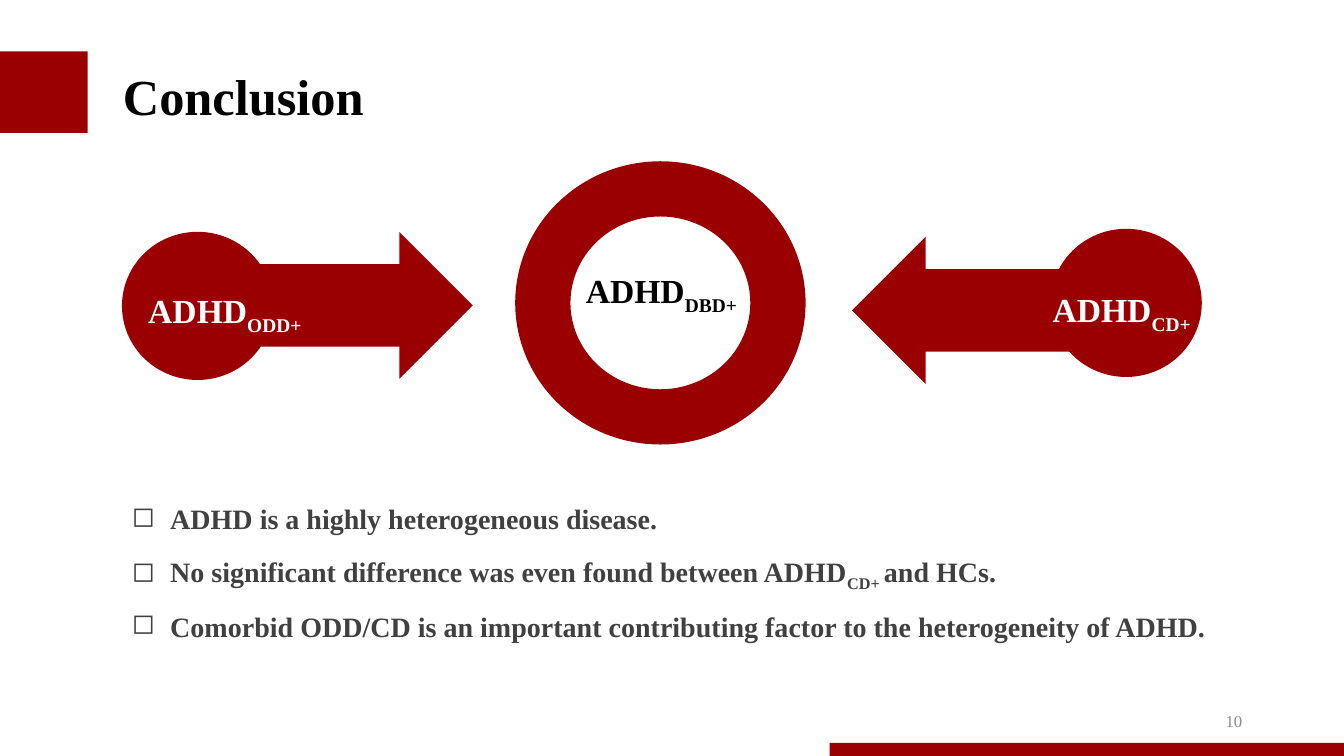
import dataclasses

import lxml.etree
import pptx
import pptx.dml.color
import pptx.enum.shapes
import pptx.enum.text
import pptx.oxml.ns
import pptx.util

Inches = pptx.util.Inches
Shapes = pptx.enum.shapes.MSO_SHAPE
Align = pptx.enum.text.PP_ALIGN
Anchor = pptx.enum.text.MSO_ANCHOR


@dataclasses.dataclass(frozen=True)
class Theme:
    """Colours, font and type sizes of the slide."""
    font: str = "Times New Roman"
    red: str = "9A0001"
    white: str = "FFFFFF"
    black: str = "000000"
    body: str = "404040"
    muted: str = "8C8C8C"
    title_size: int = 36
    label_size: int = 24
    body_size: int = 20
    number_size: int = 12


THEME = Theme()


def add_block(page, kind, left, top, width, height, adjustments=()):
    """Add a plain red shape without outline or shadow."""
    shape = page.shapes.add_shape(kind, Inches(left), Inches(top), Inches(width), Inches(height))
    shape.shadow.inherit = False
    shape.fill.solid()
    shape.fill.fore_color.rgb = pptx.dml.color.RGBColor.from_string(THEME.red)
    shape.line.fill.background()
    for index, value in enumerate(adjustments):
        shape.adjustments[index] = value
    return shape


def add_text_box(page, left, top, width, height, inset=True, wrap=True):
    """Add an empty text box and return its text frame."""
    box = page.shapes.add_textbox(Inches(left), Inches(top), Inches(width), Inches(height))
    frame = box.text_frame
    frame.word_wrap = wrap
    if not inset:
        frame.margin_left = frame.margin_right = frame.margin_top = frame.margin_bottom = 0
    return frame


def write(para, parts, size, color, bold=True, align=Align.LEFT):
    """Fill a paragraph with parts that alternate between normal and subscript."""
    para.alignment = align
    para.font.name = THEME.font
    para.font.size = pptx.util.Pt(size)
    para.font.bold = bold
    para.font.color.rgb = pptx.dml.color.RGBColor.from_string(color)
    for index, part in enumerate(parts):
        span = para.add_run()
        span.text = part
        if index % 2:
            span.font._element.set("baseline", "-25000")


def add_bullet(para, symbol, indent):
    """Give a paragraph a hanging bullet."""
    properties = para._p.get_or_add_pPr()
    properties.set("marL", str(Inches(indent)))
    properties.set("indent", str(-Inches(indent)))
    bullet = lxml.etree.SubElement(properties, pptx.oxml.ns.qn("a:buChar"))
    bullet.set("char", symbol)


def add_label(page, left, top, width, group, color, align):
    """Add an ADHD label with its group as subscript."""
    frame = add_text_box(page, left, top, width, 0.4, inset=False)
    write(frame.paragraphs[0], ["ADHD", group], THEME.label_size, color, align=align)


def add_header(page, left, top):
    """Add the red marker and the title beside it."""
    add_block(page, Shapes.RECTANGLE, left, top, 0.87, 0.81)
    frame = add_text_box(page, left + 1.12, top + 0.09, 2.59, 0.71, wrap=False)
    write(frame.paragraphs[0], ["Conclusion"], THEME.title_size, THEME.black)


def add_diagram(page, left, top):
    """Add two circles whose arrows point at a central ring."""
    add_block(page, Shapes.RIGHT_ARROW, left + 1.37, top + 0.7, 2.11, 1.46, (0.56, 0.5))
    add_block(page, Shapes.LEFT_ARROW, left + 7.24, top + 0.75, 2.24, 1.46, (0.56, 0.5))
    add_block(page, Shapes.OVAL, left, top + 0.7, 1.5, 1.47)
    add_block(page, Shapes.OVAL, left + 9.21, top + 0.67, 1.5, 1.47)
    add_block(page, Shapes.DONUT, left + 3.9, top, 2.88, 2.81, (0.195,))
    add_label(page, left + 0.26, top + 1.28, 2.72, "ODD+", THEME.white, Align.LEFT)
    add_label(page, left + 7.65, top + 1.27, 2.95, "CD+", THEME.white, Align.RIGHT)
    add_label(page, left + 4.51, top + 1.08, 1.68, "DBD+", THEME.black, Align.CENTER)


def add_findings(page, left, top, width, height):
    """Add the bulleted conclusions."""
    findings = [
        ["ADHD is a highly heterogeneous disease."],
        ["No significant difference was even found between ADHD", "CD+ ", "and HCs."],
        ["Comorbid ODD/CD is an important contributing factor to the heterogeneity of ADHD."],
    ]
    frame = add_text_box(page, left, top, width, height)
    for index, parts in enumerate(findings):
        para = frame.add_paragraph() if index else frame.paragraphs[0]
        add_bullet(para, "◻", 0.38)
        para.line_spacing = 1.5
        write(para, parts, THEME.body_size, THEME.body)


def add_footer(page, left, top):
    """Add the page number and the red strip below it."""
    add_block(page, Shapes.RECTANGLE, left, top + 0.42, 5.1, 0.13)
    frame = add_text_box(page, left + 1.19, top, 3, 0.4)
    frame.vertical_anchor = Anchor.MIDDLE
    write(frame.paragraphs[0], ["10"], THEME.number_size, THEME.muted, bold=False, align=Align.RIGHT)


def main():
    """Build the conclusion slide and save it."""
    deck = pptx.Presentation()
    deck.slide_width = Inches(13.33)
    deck.slide_height = Inches(7.5)
    page = deck.slides.add_slide(deck.slide_layouts[6])
    add_diagram(page, 1.21, 1.6)
    add_header(page, 0, 0.51)
    add_findings(page, 1.21, 4.76, 11.22, 1.61)
    add_footer(page, 8.23, 6.95)
    deck.save("out.pptx")


if __name__ == "__main__":
    main()
